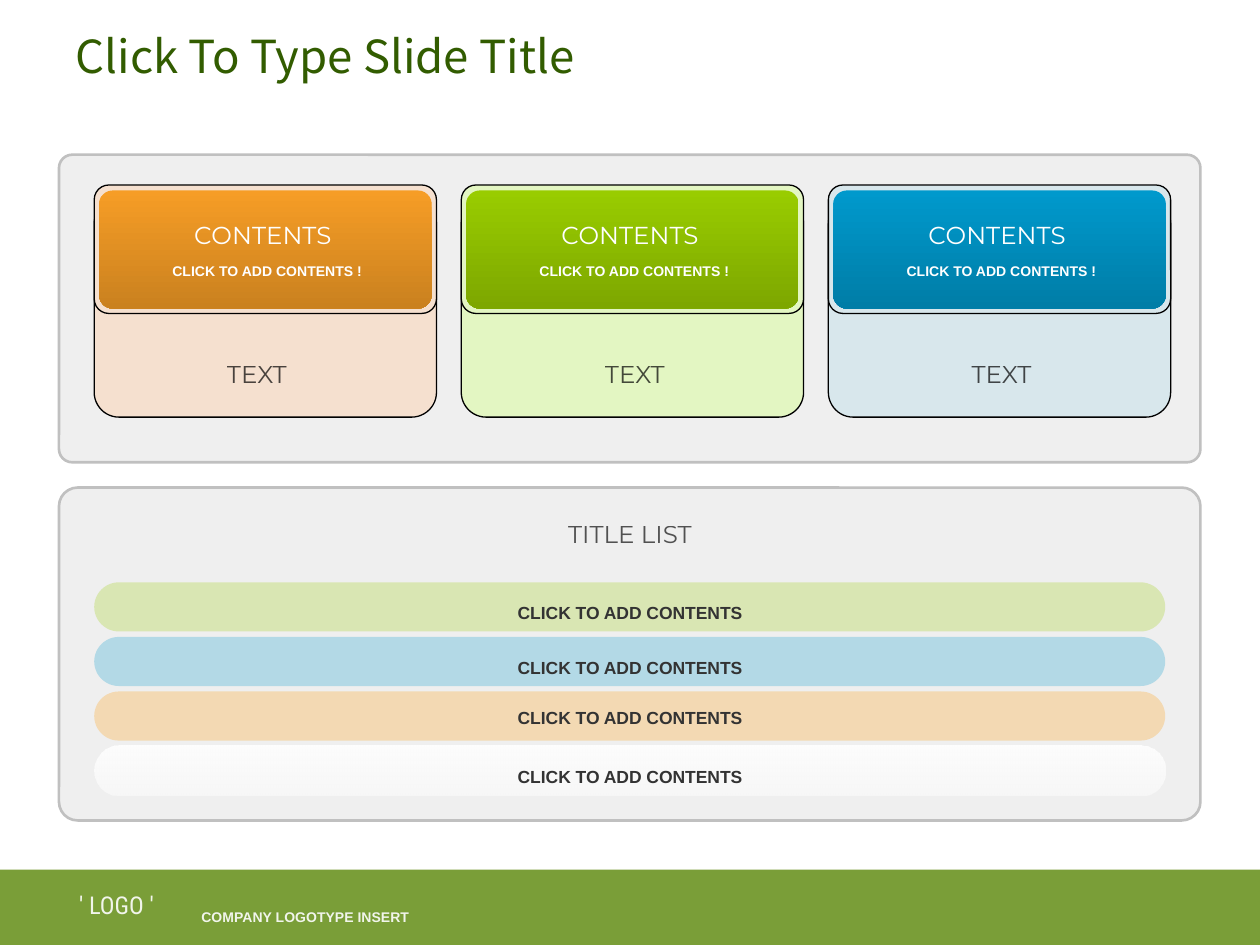
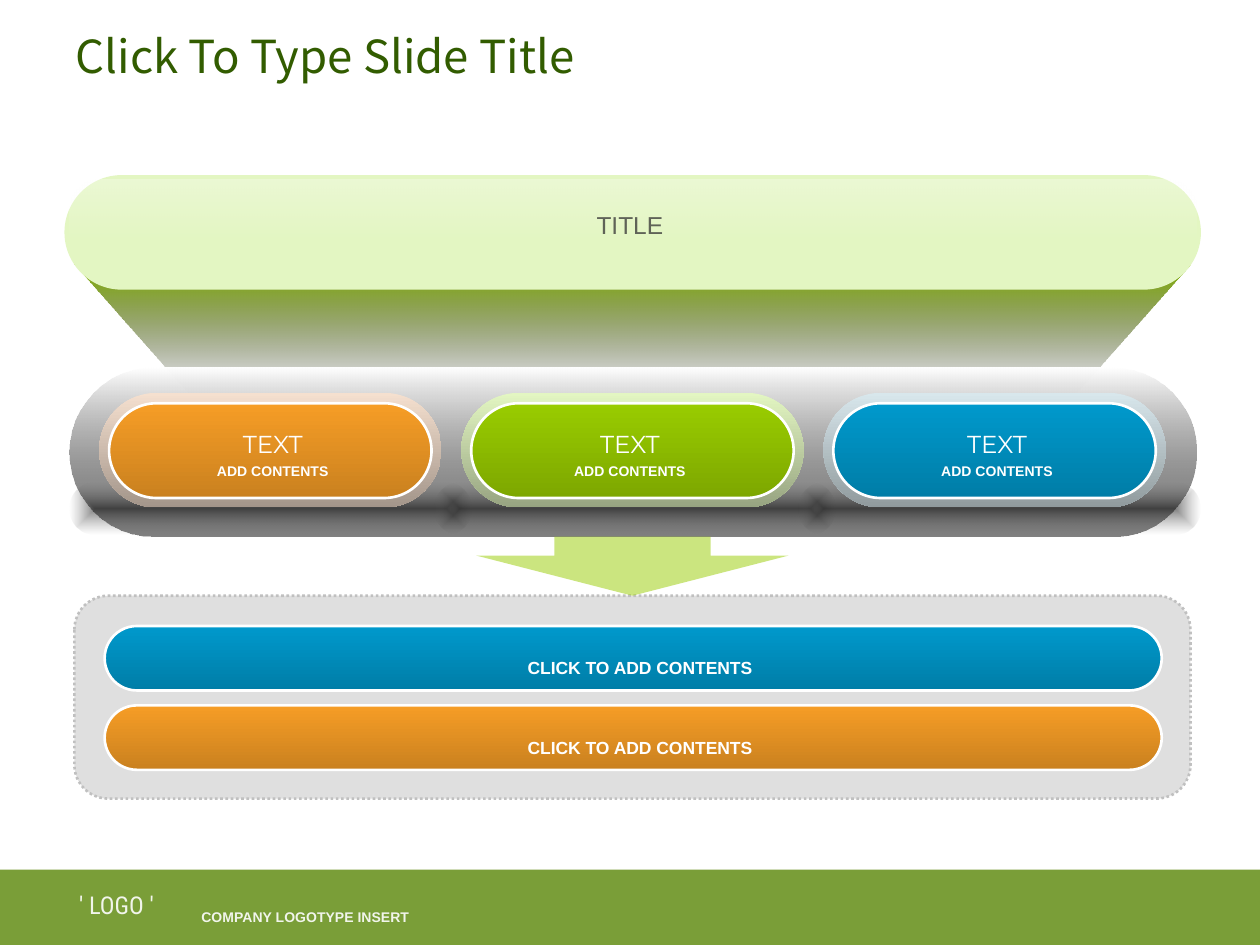
import pptx
import pptx.util
import pptx.dml.color
import pptx.enum.dml
import pptx.enum.shapes
import pptx.enum.text
import pptx.oxml.ns
from lxml import etree

Cm = pptx.util.Cm
Pt = pptx.util.Pt
RGB = pptx.dml.color.RGBColor
KIND = pptx.enum.shapes.MSO_SHAPE
ALIGN = pptx.enum.text.PP_ALIGN
qn = pptx.oxml.ns.qn

WHITE = RGB(0xFF, 0xFF, 0xFF)
BLACK = RGB(0, 0, 0)
SILVER = RGB(0xC0, 0xC0, 0xC0)
SMOKE = RGB(0x6C, 0x6C, 0x6C)
INK = RGB(0x33, 0x33, 0x33)
FOREST = RGB(0x32, 0x5C, 0x00)
MOSS = RGB(0x7A, 0x9E, 0x38)
OLIVE = RGB(0x82, 0xB0, 0x00)
AMBER = RGB(0xFF, 0x99, 0x00)
LIME = RGB(0x99, 0xCC, 0x00)
AZURE = RGB(0x00, 0x99, 0xCC)
PEACH = RGB(0xF5, 0xE0, 0xCF)
MINT = RGB(0xE3, 0xF6, 0xC2)
MIST = RGB(0xD8, 0xE7, 0xEC)
WARM = (RGB(0xF6, 0x9D, 0x26), RGB(0xCA, 0x81, 0x1F))
FRESH = (LIME, RGB(0x7D, 0xA7, 0x00))
COOL = (AZURE, RGB(0x00, 0x7D, 0xA7))

HEAD = "Montserrat"
BODY = "Arial"
TITLE = "Click To Type Slide Title"
CALL = "CLICK TO ADD CONTENTS"

CARDS = [
    ("CONTENTS", "CLICK TO ADD CONTENTS !", "TEXT", 5.18, PEACH, WARM),
    ("CONTENTS", "CLICK TO ADD CONTENTS !", "TEXT", 12.8, MINT, FRESH),
    ("CONTENTS", "CLICK TO ADD CONTENTS !", "TEXT", 20.19, MIST, COOL),
]
BARS = [
    (CALL, 12.01, (LIME,), (25,)),
    (CALL, 13.13, (AZURE,), (25,)),
    (CALL, 14.12, (AMBER,), (25,)),
    (CALL, 15.32, (WHITE, WHITE), (90, 50)),
]
PILLS = [
    ("TEXT", "ADD CONTENTS", 5.5, (PEACH, RGB(0xA3, 0x95, 0x8A)), WARM),
    ("TEXT", "ADD CONTENTS", 12.7, (MINT, RGB(0x97, 0xA4, 0x81)), FRESH),
    ("TEXT", "ADD CONTENTS", 20.1, (MIST, RGB(0x90, 0x9A, 0x9D)), COOL),
]
STEPS = [(CALL, COOL), (CALL, WARM)]


def fade(node, alphas):
    for color, alpha in zip(node.iter(qn("a:srgbClr")), alphas):
        etree.SubElement(color, qn("a:alpha"), val=str(alpha * 1000))


def paint(shape, colors, alphas=(), line=None, width=0.75):
    shape.shadow.inherit = False
    fill = shape.fill
    if len(colors) == 1:
        fill.solid()
        fill.fore_color.rgb = colors[0]
    else:
        fill.gradient()
        fill.gradient_angle = 270
        for stop, color, place in zip(fill.gradient_stops, colors, (0, 1)):
            stop.color.rgb = color
            stop.position = place
    fade(shape._element.spPr, alphas)
    if line is None:
        shape.line.fill.background()
    else:
        shape.line.color.rgb = line
        shape.line.width = Pt(width)
    return shape


def block(slide, kind, box, colors, adj=(), **style):
    shape = slide.shapes.add_shape(kind, *(Cm(n) for n in box))
    for spot, value in enumerate(adj):
        shape.adjustments[spot] = value
    return paint(shape, colors, **style)


def pill(slide, box, colors, adj=0.5, **style):
    return block(slide, KIND.ROUNDED_RECTANGLE, box, colors, (adj,), **style)


def glow(shape):
    grad = shape._element.spPr.find(qn("a:gradFill"))
    grad.remove(grad.find(qn("a:lin")))
    route = etree.SubElement(grad, qn("a:path"), path="rect")
    sides = dict.fromkeys("ltrb", "50000")
    etree.SubElement(route, qn("a:fillToRect"), **sides)


def write(para, text, size, font, color, bold=False, alpha=None):
    run = para.add_run()
    run.text = text
    run.font.size = Pt(size)
    run.font.name = font
    run.font.bold = bold
    run.font.color.rgb = color
    if alpha:
        fade(run._r, (alpha,))


def label(slide, mid, top, text, size, font, color, align=ALIGN.CENTER, **style):
    wide = 8
    box = slide.shapes.add_textbox(Cm(mid - wide / 2), Cm(top), Cm(wide), Cm(0.7))
    box.text_frame.word_wrap = True
    para = box.text_frame.paragraphs[0]
    para.alignment = align
    write(para, text, size, font, color, **style)


def start(deck):
    slide = deck.slides.add_slide(deck.slide_layouts[5])
    block(slide, KIND.RECTANGLE, (0, 17.53, 25.4, 1.52), (MOSS,))
    label(slide, 2.35, 17.81, "' LOGO '", 14, "Roboto Condensed", WHITE, alpha=90)
    label(slide, 7.81, 18.19, "COMPANY LOGOTYPE INSERT", 8, BODY, WHITE,
          ALIGN.LEFT, bold=True, alpha=90)
    title = slide.shapes.title
    title.left, title.top = Cm(1.27), Cm(0.53)
    title.width, title.height = Cm(22.86), Cm(1.17)
    frame = title.text_frame
    frame.vertical_anchor = pptx.enum.text.MSO_ANCHOR.MIDDLE
    para = frame.paragraphs[0]
    para.alignment = ALIGN.LEFT
    write(para, TITLE, 26, "Noto Sans CJK KR", FOREST)
    return slide


def card_slide(deck):
    slide = start(deck)
    for top, high, adj in ((3.12, 6.2, 0.043), (9.83, 6.71, 0.056)):
        pill(slide, (1.19, top, 23.01, high), (SILVER,), adj,
             alphas=(25,), line=SILVER, width=1.5)
    for i, (head, sub, text, mid, pale, deep) in enumerate(CARDS):
        left = 1.9 + 7.4 * i
        for top, high in ((4.01, 4.4), (3.73, 2.59)):
            pill(slide, (left, top, 6.9, high), (pale,), 0.114, line=BLACK)
        pill(slide, (left + 0.1, 3.84, 6.7, 2.38), deep, 0.114)
        label(slide, left + 3.4, 4.32, head, 14, HEAD, WHITE)
        label(slide, left + 3.49, 5.16, sub, 8, BODY, WHITE, bold=True)
        label(slide, mid, 7.11, text, 14, HEAD, BLACK, alpha=70)
    label(slide, 12.7, 10.34, "TITLE LIST", 14, HEAD, BLACK, alpha=65)
    for i, (text, top, colors, alphas) in enumerate(BARS):
        pill(slide, (1.9, 11.74 + 1.1 * i, 21.59, 0.99), colors, alphas=alphas)
        label(slide, 12.7, top, text, 10, BODY, INK, bold=True)


def flow_slide(deck):
    slide = start(deck)
    path = slide.shapes.build_freeform(Cm(1.5), Cm(5.33))
    path.add_line_segments([(Cm(x), Cm(y)) for x, y in
                            ((3.91, 8.03), (21.59, 8.03), (24, 5.33))])
    paint(path.convert_to_shape(), (OLIVE, BLACK), (100, 0))
    pill(slide, (1.3, 3.53, 22.91, 2.31), (MINT,))
    block(slide, KIND.ROUND_2_SAME_RECTANGLE, (1.4, 3.63, 22.71, 1.19),
          (WHITE, WHITE), (0.5, 0), alphas=(30, 0))
    label(slide, 12.7, 4.11, "TITLE", 14, BODY, INK, alpha=75)
    panel = pill(slide, (1.5, 12.01, 22.5, 4.09), (SILVER,), 0.167,
                 alphas=(50,), line=SILVER, width=1.5)
    panel.line.dash_style = pptx.enum.dml.MSO_LINE.ROUND_DOT
    pill(slide, (1.4, 7.42, 22.71, 3.4), (WHITE, BLACK), alphas=(100, 50))
    block(slide, KIND.DOWN_ARROW, (9.6, 10.82, 6.3, 1.19), (LIME,),
          (0.5, 0.68), alphas=(50,))
    for i, (head, sub, mid, rim, core) in enumerate(PILLS):
        left = 2 + 7.3 * i
        glow(pill(slide, (1.4 + 7.35 * i, 9.73, 8.1, 1.04), (BLACK, SMOKE),
                  alphas=(50, 0)))
        pill(slide, (left, 7.92, 6.9, 2.31), rim)
        pill(slide, (left + 0.2, 8.13, 6.5, 1.91), core, line=WHITE, width=1.5)
        label(slide, mid, 8.53, head, 14, HEAD, WHITE)
        label(slide, mid, 9.2, sub, 8, BODY, WHITE, bold=True)
    for i, (text, colors) in enumerate(STEPS):
        top = 12.62 + 1.6 * i
        pill(slide, (2.11, top, 21.31, 1.3), colors, line=WHITE, width=1.5)
        label(slide, 12.9, top + 0.51, text, 10, BODY, WHITE, bold=True)


def main():
    deck = pptx.Presentation()
    deck.slide_width, deck.slide_height = Cm(25.4), Cm(19.05)
    card_slide(deck)
    flow_slide(deck)
    deck.save("out.pptx")


if __name__ == "__main__":
    main()
